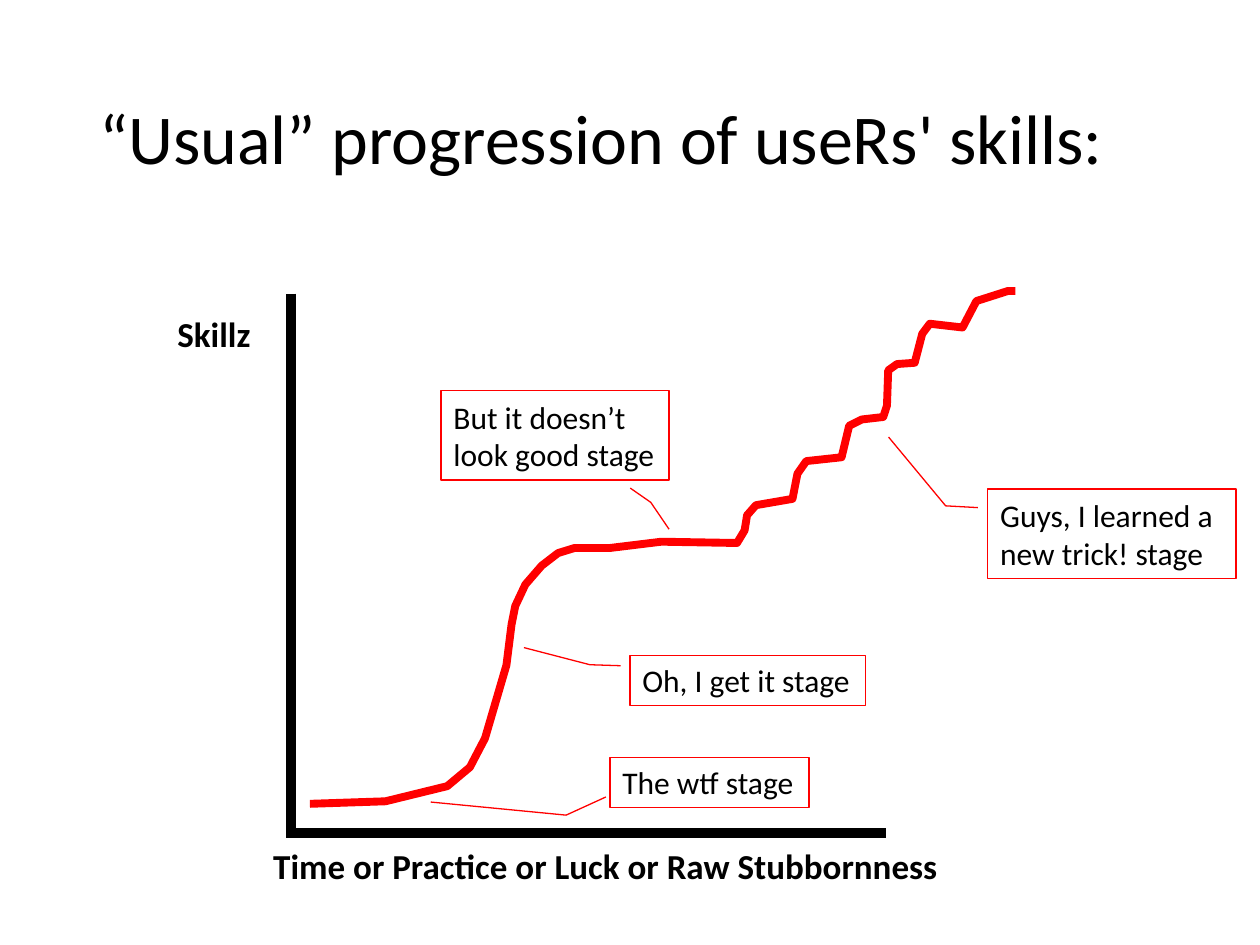
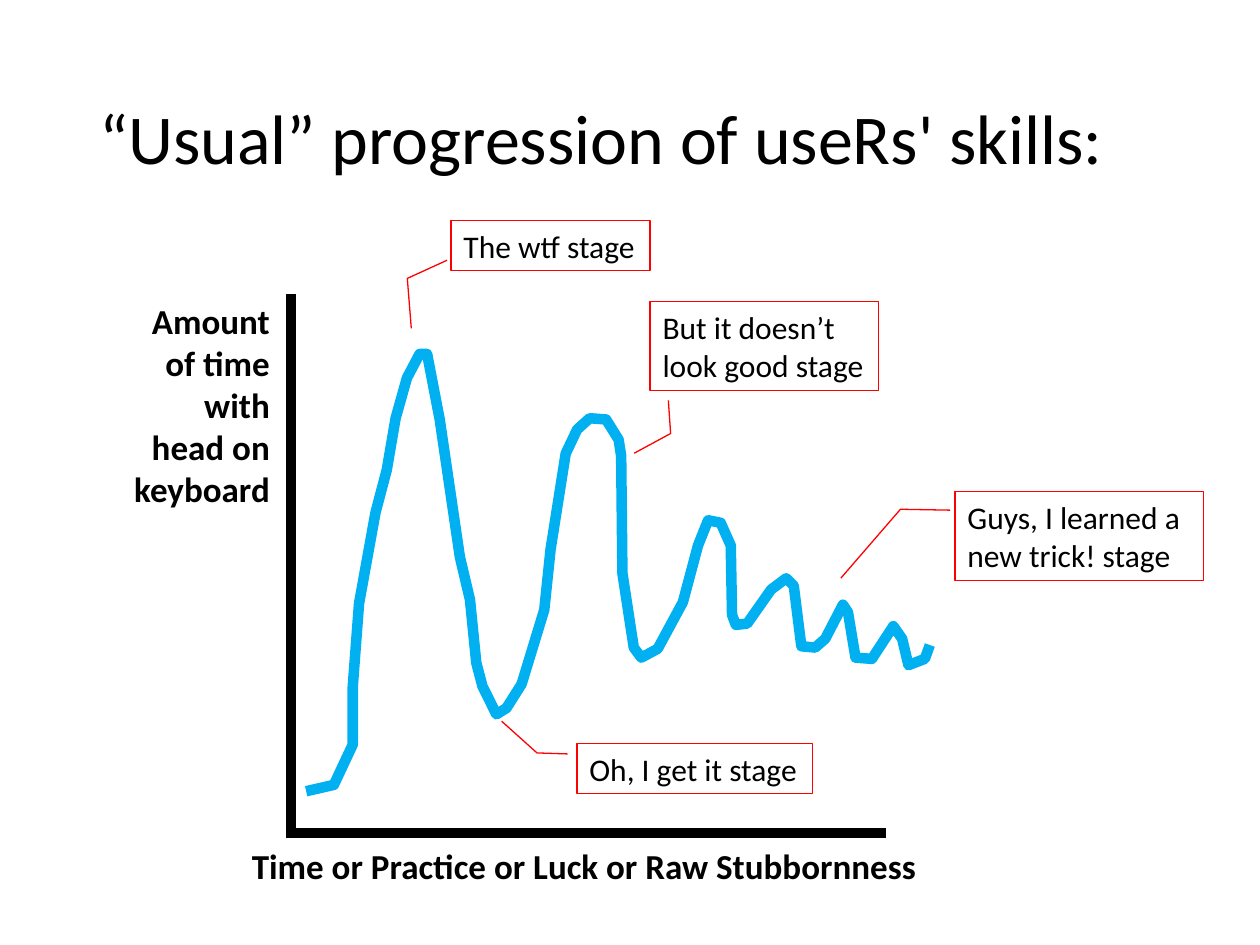
from lxml.etree import SubElement
from pptx import Presentation
from pptx.dml.color import RGBColor
from pptx.enum.shapes import MSO_CONNECTOR, MSO_SHAPE
from pptx.enum.text import MSO_ANCHOR, PP_ALIGN
from pptx.oxml.ns import qn
from pptx.util import Inches, Pt

deck = Presentation()
deck.slide_width, deck.slide_height = Inches(10), Inches(7.5)
CELL = deck.slide_width / 100  # grid of 100 columns by 75 rows
FINE = CELL / 10  # curve points are tenths of a cell

FONT = "Calibri"
BLACK, RED, BLUE = "000000", "FF0000", "00B0F0"
TITLE = "“Usual” progression of useRs' skills:"
TIME = "Time or Practice or Luck or Raw Stubbornness"
LEFT, FOOT = 23.1, 66.1
AXES = [(LEFT, 23.3, LEFT, 66.5), (70.3, FOOT, LEFT, FOOT)]

# Each stage: lines of text, columns wide, rows high
STAGES = {
    "get": (["Oh, I get it stage"], 18.7, 4),
    "wtf": (["The wtf stage"], 15.8, 4),
    "look": (["But it doesn’t", "look good stage"], 18.1, 7.1),
    "trick": (["Guys, I learned a", "new trick! stage"], 19.7, 7.1),
}
SIDE = (0.21, -0.04, 0.19, -0.17)  # leader that leaves to the left
DOWN = (0.79, -0.02, 1.15, -0.22)  # leader that leaves low on the left

SKILL = [
    (246, 638), (306, 636), (355, 624), (373, 609), (385, 586), (402, 528),
    (406, 496), (409, 481), (417, 464), (430, 449), (443, 439), (456, 435),
    (484, 435), (525, 430), (585, 431), (591, 421), (593, 409), (600, 401),
    (629, 396), (633, 376), (640, 366), (668, 363), (674, 338), (684, 333),
    (701, 331), (704, 322), (705, 294), (712, 289), (726, 288), (732, 265),
    (738, 257), (764, 260), (775, 239), (800, 231), (806, 231),
]
PAIN = [
    (243, 628), (265, 623), (280, 591), (280, 545), (285, 479), (298, 407),
    (307, 373), (314, 332), (323, 300), (333, 281), (339, 281), (349, 333),
    (365, 442), (373, 476), (378, 526), (383, 545), (394, 567), (402, 562),
    (414, 543), (432, 484), (437, 436), (449, 360), (458, 341), (468, 332),
    (481, 333), (491, 349), (493, 362), (494, 455), (503, 514), (509, 522),
    (522, 515), (542, 478), (554, 433), (562, 413), (572, 415), (580, 433),
    (581, 488), (584, 496), (593, 495), (612, 468), (624, 459), (630, 465),
    (636, 513), (647, 514), (655, 507), (669, 480), (673, 486), (679, 522),
    (692, 523), (709, 497), (716, 507), (721, 528), (734, 523), (738, 512),
]

# Each slide: time label column, side label (text, box, align),
# curve (points, colour, width), callouts (stage, column, row, leader)
SLIDES = [
    (20.7, ("Skillz", (13.1, 24.3, 8, 4.4), PP_ALIGN.LEFT),
     (SKILL, RED, 4.5),
     [("get", 50, 52, (*SIDE, -0.15, -0.45)),
      ("wtf", 48.4, 60.1, (*DOWN, 0.89, -0.9)),
      ("look", 35, 31, (1.09, 0.83, 1.25, 0.92, 1.55, 1)),
      ("trick", 78.4, 38.8, (*SIDE, -0.58, -0.4))]),
    (19, ("Amount of time with head on keyboard",
          (9.2, 23.3, 13.2, 17.8), PP_ALIGN.RIGHT),
     (PAIN, BLUE, 6),
     [("get", 45.8, 59, (*SIDE, -0.44, -0.32)),
      ("wtf", 35.8, 17.5, (*DOWN, 2.14, -0.2)),
      ("look", 51.6, 23.9, (1.11, 0.08, 1.48, 0.09, 1.7, -0.07)),
      ("trick", 75.8, 39, (0.21, -0.02, 0.2, -0.22, 0.97, -0.46))]),
]


def write(shape, lines, size, bold=False, align=PP_ALIGN.LEFT, wrap=True):
    frame = shape.text_frame
    frame.word_wrap = wrap
    for i, line in enumerate(lines):
        para = frame.paragraphs[0] if i == 0 else frame.add_paragraph()
        para.alignment = align
        run = para.add_run()
        run.text = line
        run.font.name, run.font.size, run.font.bold = FONT, Pt(size), bold
        run.font.color.rgb = RGBColor.from_string(BLACK)
    return frame


def stroke(shape, code, width):
    shape.line.color.rgb = RGBColor.from_string(code)
    shape.line.width = Pt(width)


for left, side, curve, calls in SLIDES:
    slide = deck.slides.add_slide(deck.slide_layouts[6])
    shapes = slide.shapes

    head = shapes.add_textbox(*(int(n * CELL) for n in (6.9, 4, 86.2, 14.5)))
    frame = write(head, [TITLE], 40)
    frame.vertical_anchor = MSO_ANCHOR.MIDDLE
    frame.paragraphs[0].line_spacing = 0.9

    for ends in AXES:
        axis = shapes.add_connector(
            MSO_CONNECTOR.STRAIGHT, *(int(n * CELL) for n in ends))
        stroke(axis, BLACK, 6)
        SubElement(axis._element.spPr, qn("a:effectLst"))

    base = (TIME, (left, 66.5, 56, 4.4), PP_ALIGN.LEFT)
    for text, box, align in (base, side):
        label = shapes.add_textbox(*(int(n * CELL) for n in box))
        write(label, [text], 20, True, align)

    points, code, width = curve
    pen = shapes.build_freeform(*points[0], scale=FINE)
    pen.add_line_segments(points[1:], close=False)
    trace = pen.convert_to_shape()
    trace.fill.background()
    trace.shadow.inherit = False
    stroke(trace, code, width)

    for stage, col, row, leader in calls:
        lines, wide, high = STAGES[stage]
        call = shapes.add_shape(
            MSO_SHAPE.LINE_CALLOUT_2,
            *(int(n * CELL) for n in (col, row, wide, high)))
        for i, share in enumerate(leader):
            call.adjustments[i] = share
        call.fill.background()
        call.shadow.inherit = False
        stroke(call, RED, 0.75)
        write(call, lines, 18, wrap=False)

deck.save("out.pptx")
